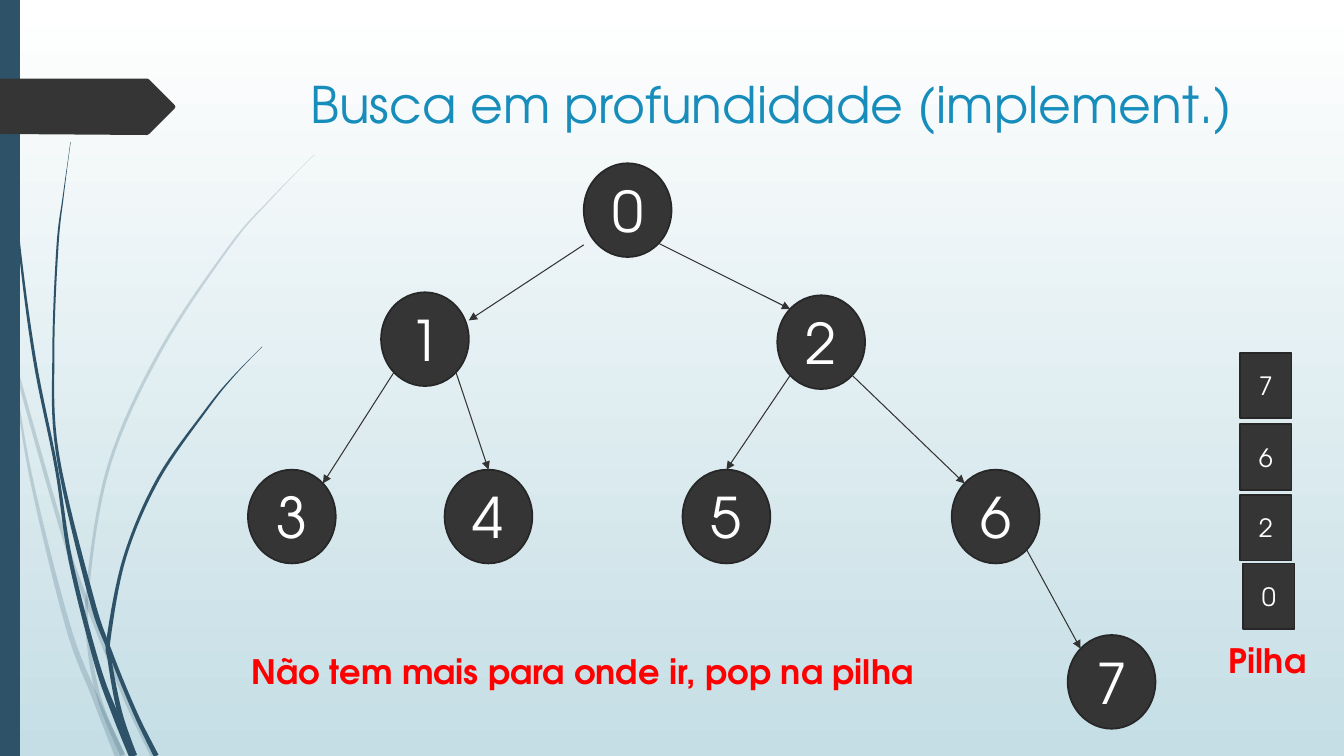
from lxml.etree import SubElement
from math import hypot, sqrt
from pptx import Presentation
from pptx.dml.color import RGBColor
from pptx.enum.shapes import MSO_CONNECTOR, MSO_SHAPE
from pptx.enum.text import MSO_ANCHOR, PP_ALIGN
from pptx.oxml.ns import qn
from pptx.util import Inches, Pt

FONT = "TeX Gyre Adventor"
WHITE = RGBColor(0xFF, 0xFF, 0xFF)
MIST = RGBColor(0xC5, 0xDE, 0xE5)
NAVY = RGBColor(0x2E, 0x53, 0x69)
CHARCOAL = RGBColor(0x35, 0x35, 0x35)
OUTLINE = RGBColor(0x27, 0x27, 0x27)
EDGE = RGBColor(0x33, 0x33, 0x33)
BLUE = RGBColor(0x17, 0x8D, 0xBB)
RED = RGBColor(0xFF, 0x00, 0x00)


def write(box, text, align=PP_ALIGN.LEFT, **font_format):
    para = box.text_frame.paragraphs[0]
    para.alignment = align
    span = para.add_run()
    span.text = text
    span.font.color.rgb = font_format.pop("color")
    for name, value in {"name": FONT, **font_format}.items():
        setattr(span.font, name, value)


def draw_outline(points, color):
    points = [(Inches(x), Inches(y)) for x, y in points]
    builder = page.shapes.build_freeform(*points[0], scale=1.0)
    builder.add_line_segments(points[1:], close=True)
    shape = builder.convert_to_shape()
    shape.shadow.inherit = False
    shape.fill.solid()
    shape.fill.fore_color.rgb = color
    shape.line.fill.background()
    return shape


deck = Presentation()
deck.slide_width, deck.slide_height = Inches(13.33), Inches(7.5)
page = deck.slides.add_slide(deck.slide_layouts[6])

# Background gradient, top to bottom
backdrop = page.background.fill
backdrop.gradient()
backdrop.gradient_angle = 270
for stop, color in zip(backdrop.gradient_stops, (WHITE, MIST)):
    stop.color.rgb = color

# Grass blades: x, y and thickness along each centre line
pale_blades = [
    [(0, 2.9, 0.02), (0.12, 3.5, 0.03), (0.6, 5.21, 0.04), (0.86, 5.97, 0.04),
     (1.25, 6.93, 0.05), (1.52, 7.5, 0.05)],
    [(0.11, 3.5, 0.01), (0.3, 4.7, 0.03), (0.67, 6.2, 0.05), (0.94, 6.91, 0.06),
     (1.19, 7.5, 0.1)],
    [(3.12, 1.53, 0), (2.68, 1.98, 0.01), (2.28, 2.44, 0.02), (1.59, 3.48, 0.03),
     (1.08, 4.62, 0.03), (0.87, 5.84, 0.03), (0.89, 6.46, 0.04), (1.0, 6.98, 0.04),
     (1.22, 7.5, 0.05)],
]
dark_blades = [
    [(0.04, 0, 0.01), (0.08, 1.1, 0.01), (0.18, 2.33, 0.02), (0.34, 3.55, 0.03),
     (0.56, 4.65, 0.03), (0.7, 5.56, 0.04), (0.96, 6.58, 0.05), (1.14, 7.08, 0.06),
     (1.32, 7.5, 0.08)],
    [(0.7, 1.41, 0), (0.63, 1.93, 0.01), (0.57, 2.45, 0.02), (0.53, 3.49, 0.02),
     (0.57, 4.5, 0.03), (0.9, 5.91, 0.05), (1.09, 6.46, 0.04), (1.34, 7.07, 0.04),
     (1.55, 7.5, 0.05)],
    [(2.6, 3.44, 0), (2.31, 3.74, 0.01), (2.05, 4.06, 0.02), (1.57, 4.75, 0.03),
     (1.24, 5.52, 0.03), (1.08, 6.32, 0.04), (1.09, 6.56, 0.04), (1.19, 7.08, 0.05),
     (1.33, 7.5, 0.06)],
]
STEPS = 8
for blade in pale_blades + dark_blades:
    # Smooth the centre line with a Catmull-Rom spline
    padded = [blade[0], *blade, blade[-1]]
    curve = []
    for before, start, end, after in zip(padded, padded[1:], padded[2:], padded[3:]):
        for t in (step / STEPS for step in range(STEPS)):
            curve.append([
                b + (c - a) * t / 2 + (2 * a - 5 * b + 4 * c - d) * t**2 / 2
                + (3 * b - a - 3 * c + d) * t**3 / 2
                for a, b, c, d in zip(before, start, end, after)])
    curve.append(blade[-1])
    # Spread it to both sides by half the thickness
    left_side, right_side = [], []
    for index, (x, y, thickness) in enumerate(curve):
        previous, following = curve[max(index - 1, 0)], curve[min(index + 1, len(curve) - 1)]
        dx, dy = following[0] - previous[0], following[1] - previous[1]
        reach = max(thickness, 0.004) / 2 / hypot(dx, dy)
        left_side.append((x - dy * reach, y + dx * reach))
        right_side.append((x + dy * reach, y - dx * reach))
    shape = draw_outline(left_side + right_side[::-1], NAVY)
    if blade in pale_blades:
        tint = shape._element.spPr.find(qn("a:solidFill"))[0]
        SubElement(tint, qn("a:alpha"), val="20000")

# Side bar and arrow banner
draw_outline([(0, 0), (0.2, 0), (0.2, 7.5), (0, 7.5)], NAVY)
draw_outline([(0, 0.78), (1.46, 0.78), (1.48, 0.79), (1.73, 1.04), (1.74, 1.06),
              (1.73, 1.08), (1.48, 1.33), (1.46, 1.34), (0, 1.33)], CHARCOAL)

# Title and red captions
captions = [
    ("Busca em profundidade (implement.)", (2.98, 0.68, 9.61, 1.4), True,
     {"size": Pt(36), "color": BLUE}),
    ("Não tem mais para onde ir, pop na pilha", (2.4, 6.41, 6.85, 0.5), False,
     {"size": Pt(24), "color": RED, "bold": True}),
    ("Pilha", (12.09, 6.3, 0.98, 0.5), False,
     {"size": Pt(24), "color": RED, "bold": True}),
]
for text, area, wrap, font_format in captions:
    box = page.shapes.add_textbox(*map(Inches, area))
    box.text_frame.word_wrap = wrap
    write(box, text, **font_format)

# Tree nodes and stack cells
NODE_W, NODE_H = 0.87, 0.93
nodes = {"0": (5.79, 1.62), "1": (3.78, 2.9), "2": (7.71, 2.93), "3": (2.46, 4.66),
         "4": (4.41, 4.66), "5": (6.77, 4.66), "6": (9.44, 4.66), "7": (10.59, 6.3)}
stack = {"7": (12.3, 3.5), "6": (12.3, 4.21), "2": (12.3, 4.91), "0": (12.33, 5.59)}
for places, kind, width, height, size in (
        (nodes, MSO_SHAPE.OVAL, NODE_W, NODE_H, 40),
        (stack, MSO_SHAPE.RECTANGLE, 0.51, 0.65, 18)):
    for label, (left, top) in places.items():
        shape = page.shapes.add_shape(kind, *map(Inches, (left, top, width, height)))
        shape.shadow.inherit = False
        shape.fill.solid()
        shape.fill.fore_color.rgb = CHARCOAL
        shape.line.color.rgb = OUTLINE
        shape.line.width = Pt(1.25)
        shape.text_frame.vertical_anchor = MSO_ANCHOR.MIDDLE
        write(shape, label, PP_ALIGN.CENTER, size=Pt(size), color=WHITE)

# Tree edges: ends are given in half node sizes from each node's centre
DIAGONAL = sqrt(0.5)
TOP = (0, -1)
TOP_LEFT, TOP_RIGHT = (-DIAGONAL, -DIAGONAL), (DIAGONAL, -DIAGONAL)
LOW_LEFT, LOW_RIGHT = (-DIAGONAL, DIAGONAL), (DIAGONAL, DIAGONAL)
edges = [
    ("0", (-1, 0.74), "1", (1, -0.4)),
    ("0", LOW_RIGHT, "2", TOP_LEFT),
    ("1", LOW_LEFT, "3", TOP_RIGHT),
    ("1", LOW_RIGHT, "4", TOP),
    ("2", LOW_LEFT, "5", TOP),
    ("2", LOW_RIGHT, "6", TOP_LEFT),
    ("6", LOW_RIGHT, "7", TOP_LEFT),
]
for parent, parent_side, child, child_side in edges:
    ends = []
    for label, (across, down) in ((parent, parent_side), (child, child_side)):
        left, top = nodes[label]
        ends += [Inches(left + NODE_W * (1 + across) / 2),
                 Inches(top + NODE_H * (1 + down) / 2)]
    arrow = page.shapes.add_connector(MSO_CONNECTOR.STRAIGHT, *ends)
    arrow.line.color.rgb = EDGE
    arrow.line.width = Pt(0.75)
    SubElement(arrow.line._get_or_add_ln(), qn("a:tailEnd"), type="triangle")
    SubElement(arrow._element.spPr, qn("a:effectLst"))

deck.save("out.pptx")
